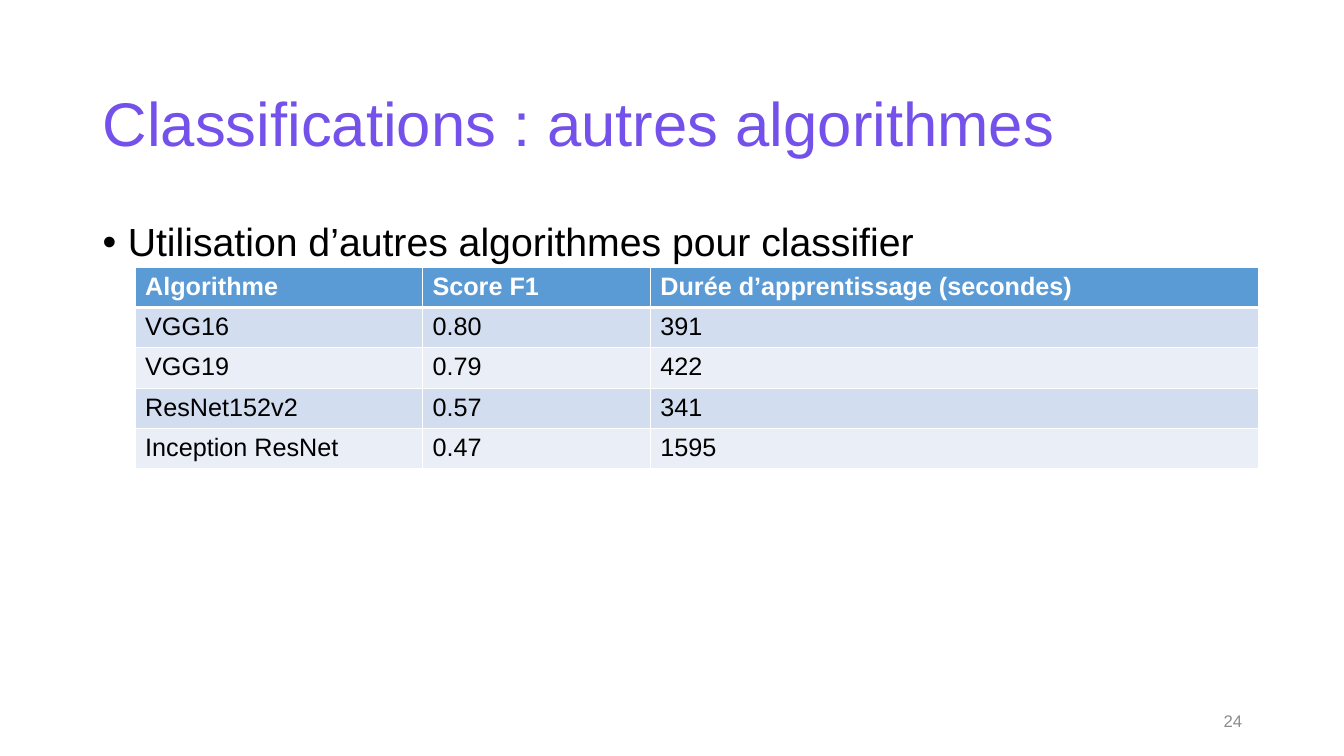
from lxml.etree import SubElement
from pptx import Presentation
from pptx.dml.color import RGBColor
from pptx.enum.text import MSO_ANCHOR, PP_ALIGN
from pptx.oxml.ns import qn
from pptx.util import Inches, Pt

PURPLE = RGBColor(0x74, 0x51, 0xEB)
BLACK = RGBColor(0x00, 0x00, 0x00)
WHITE = RGBColor(0xFF, 0xFF, 0xFF)
GRAY = RGBColor(0x8C, 0x8C, 0x8C)
HEADER_BLUE = RGBColor(0x5B, 0x9B, 0xD5)
BAND_DARK = RGBColor(0xD2, 0xDE, 0xEF)
BAND_LIGHT = RGBColor(0xEA, 0xEF, 0xF7)


def style_font(paragraph, size, color, bold=False):
    paragraph.font.name = "Arial"
    paragraph.font.size = Pt(size)
    paragraph.font.bold = bold
    paragraph.font.color.rgb = color


def add_text(slide, left, top, width, height, text, anchor):
    box = slide.shapes.add_textbox(Inches(left), Inches(top), Inches(width), Inches(height))
    frame = box.text_frame
    frame.word_wrap = True
    frame.vertical_anchor = anchor
    paragraph = frame.paragraphs[0]
    paragraph.text = text
    return paragraph


presentation = Presentation()
presentation.slide_width = Inches(13.33)
presentation.slide_height = Inches(7.5)
slide = presentation.slides.add_slide(presentation.slide_layouts[6])

title = add_text(slide, 0.92, 0.4, 11.5, 1.71,
                 "Classifications : autres algorithmes", MSO_ANCHOR.MIDDLE)
title.line_spacing = 0.9
style_font(title, 44, PURPLE)

page_number = add_text(slide, 9.42, 6.95, 3, 0.4, "24", MSO_ANCHOR.MIDDLE)
page_number.alignment = PP_ALIGN.RIGHT
style_font(page_number, 12, GRAY)

bullet = add_text(slide, 0.92, 2.16, 11.5, 4.59,
                  "Utilisation d’autres algorithmes pour classifier", MSO_ANCHOR.TOP)
bullet.line_spacing = 0.9
properties = bullet._p.get_or_add_pPr()
properties.set("marL", str(Inches(0.25)))
properties.set("indent", str(Inches(-0.25)))
SubElement(properties, qn("a:buFont"), typeface="Arial")
SubElement(properties, qn("a:buChar"), char="•")
style_font(bullet, 28, BLACK)

results = [
    ("Algorithme", "Score F1", "Durée d’apprentissage (secondes)"),
    ("VGG16", "0.80", "391"),
    ("VGG19", "0.79", "422"),
    ("ResNet152v2", "0.57", "341"),
    ("Inception ResNet", "0.47", "1595"),
]
column_widths = [2.85, 2.26, 6.03]
row_height = 0.4
table = slide.shapes.add_table(
    len(results), len(column_widths), Inches(1.34), Inches(2.65),
    Inches(sum(column_widths)), Inches(row_height * len(results))).table
for column, width in zip(table.columns, column_widths):
    column.width = Inches(width)

for row_index, values in enumerate(results):
    is_header = row_index == 0
    if is_header:
        fill_color = HEADER_BLUE
    else:
        fill_color = BAND_DARK if row_index % 2 else BAND_LIGHT
    table.rows[row_index].height = Inches(row_height)
    for column_index, value in enumerate(values):
        cell = table.cell(row_index, column_index)
        cell_properties = cell._tc.get_or_add_tcPr()
        for side in "LRTB":
            is_thick = (row_index, side) in [(0, "B"), (1, "T")]
            border = SubElement(cell_properties, qn(f"a:ln{side}"),
                                w=str(Pt(3 if is_thick else 1)))
            border_fill = SubElement(border, qn("a:solidFill"))
            SubElement(border_fill, qn("a:srgbClr"), val=str(WHITE))
        cell.fill.solid()
        cell.fill.fore_color.rgb = fill_color
        cell.text = value
        style_font(cell.text_frame.paragraphs[0], 18, WHITE if is_header else BLACK, is_header)

presentation.save("out.pptx")
